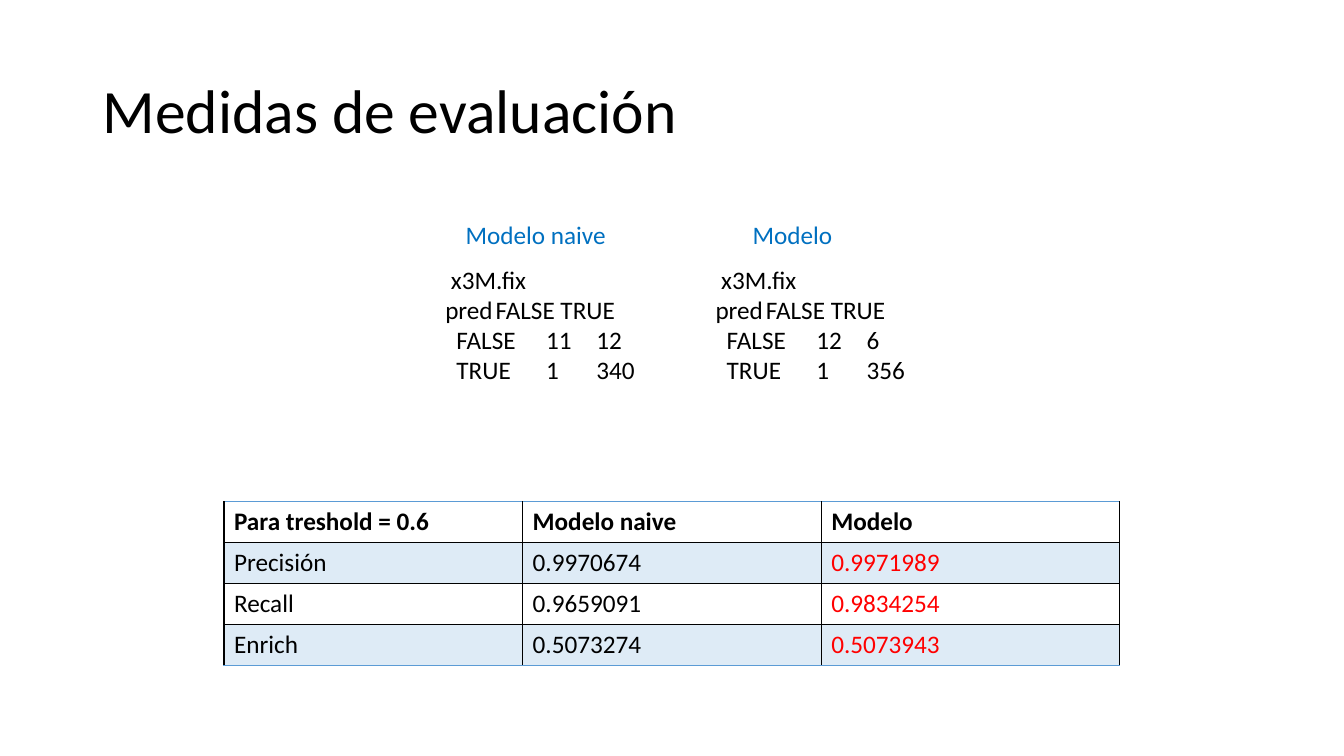
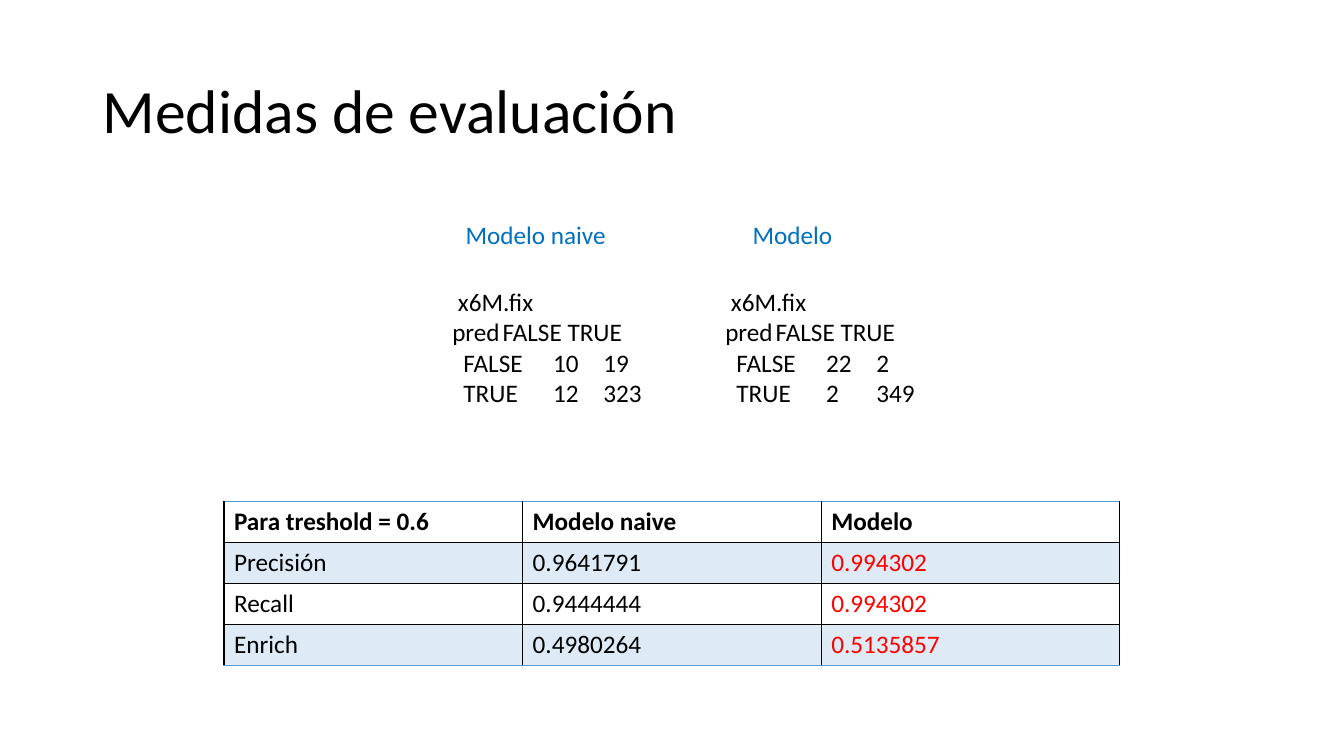
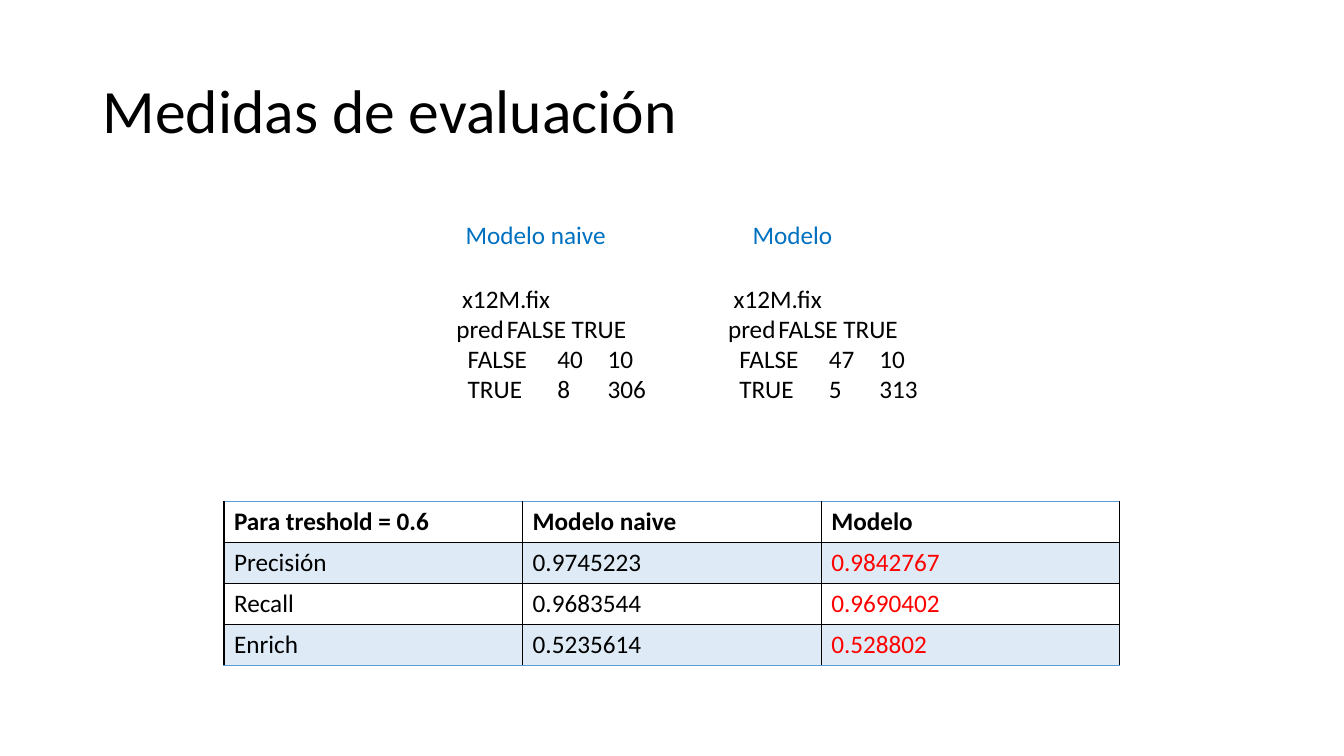
from lxml import etree
from pptx import Presentation
from pptx.dml.color import RGBColor
from pptx.enum.text import MSO_ANCHOR, MSO_AUTO_SIZE, PP_ALIGN
from pptx.oxml.ns import qn
from pptx.util import Pt

LEFT = PP_ALIGN.LEFT
MIDDLE = MSO_ANCHOR.MIDDLE
NO_FIT = MSO_AUTO_SIZE.NONE
GROW = MSO_AUTO_SIZE.SHAPE_TO_FIT_TEXT

# Shared style
FONT = "Calibri"
BLACK, BLUE, RED, ACCENT = "000000", "0070C0", "FF0000", "5B9BD5"
BODY_SIZE, TITLE_SIZE = 18, 44
BAND_ALPHA = 20

# Shared content
TITLE = "Medidas de evaluación"
MODELS = ("Modelo naive", "Modelo")
THRESHOLD = "Para treshold = 0.6"
MEASURES = ("Precisión", "Recall", "Enrich")

# Matrix layout in points: first-line indents, header tab, right edges of counts
NAME_INDENT, ROW_INDENT = 4, 8
HEADER_TAB = 50
COUNT_EDGES = (84, 116)
DIGIT_WIDTH = 9

# Each matrix: left, width, FALSE counts, TRUE counts
SLIDES = [
    dict(variable="x3M.fix", top=185,
         matrices=[(311, 158, (11, 12), (1, 340)),
                   (504, 151, (12, 6), (1, 356))],
         scores=[("0.9970674", "0.9971989"),
                 ("0.9659091", "0.9834254"),
                 ("0.5073274", "0.5073943")]),
    dict(variable="x6M.fix", top=201,
         matrices=[(316, 153, (10, 19), (12, 323)),
                   (511, 155, (22, 2), (2, 349))],
         scores=[("0.9641791", "0.994302"),
                 ("0.9444444", "0.994302"),
                 ("0.4980264", "0.5135857")]),
    dict(variable="x12M.fix", top=198.5,
         matrices=[(319, 153, (40, 10), (8, 306)),
                   (513, 160, (47, 10), (5, 313))],
         scores=[("0.9745223", "0.9842767"),
                 ("0.9683544", "0.9690402"),
                 ("0.5235614", "0.528802")]),
]


def rgb(color):
    return RGBColor.from_string(color)


def format_text(tf, size=BODY_SIZE, color=BLACK, bold=False):
    for p in tf.paragraphs:
        for r in p.runs:
            r.font.name = FONT
            r.font.size = Pt(size)
            r.font.bold = bold
            r.font.color.rgb = rgb(color)


def add_title(s, text):
    sp = s.shapes.title
    sp.left, sp.top, sp.width, sp.height = Pt(66), Pt(28.8), Pt(828), Pt(104.4)
    tf = sp.text_frame
    tf.text = text
    tf.vertical_anchor = MIDDLE
    tf.auto_size = NO_FIT
    p = tf.paragraphs[0]
    p.alignment = LEFT
    p.line_spacing = 0.9
    format_text(tf, TITLE_SIZE)


def add_text(s, left, top, width, height, text, color=BLACK):
    sp = s.shapes.add_textbox(Pt(left), Pt(top), Pt(width), Pt(height))
    tf = sp.text_frame
    tf.word_wrap = True
    tf.auto_size = GROW
    tf.text = text
    format_text(tf, color=color)
    return tf


def add_model_names(s):
    for name, left, width in zip(MODELS, (325.5, 530.5), (171.5, 76)):
        add_text(s, left, 152.8, width, 29.1, name, BLUE)


def set_tabs(p, indent, tabs):
    pPr = p._p.get_or_add_pPr()
    pPr.set("indent", str(int(Pt(indent))))
    if tabs:
        tab_list = etree.SubElement(pPr, qn("a:tabLst"))
        for position in tabs:
            etree.SubElement(tab_list, qn("a:tab"),
                             pos=str(int(Pt(position))), algn="l")


def count_line(label, counts):
    texts = [str(count) for count in counts]
    tabs = [edge - DIGIT_WIDTH * len(text)
            for edge, text in zip(COUNT_EDGES, texts)]
    return "\t".join([label, *texts]), ROW_INDENT, tabs


def add_matrix(s, left, top, width, variable, false_counts, true_counts):
    lines = [
        (variable, NAME_INDENT, []),
        ("pred\tFALSE TRUE", 0, [HEADER_TAB]),
        count_line("FALSE", false_counts),
        count_line("TRUE", true_counts),
    ]
    text = "\n".join(line for line, _, _ in lines)
    tf = add_text(s, left, top, width, 94.3, text)
    for p, (_, indent, tabs) in zip(tf.paragraphs, lines):
        set_tabs(p, indent, tabs)


def set_border(cell, side):
    ln = etree.SubElement(cell._tc.get_or_add_tcPr(), qn("a:" + side),
                          w=str(int(Pt(1))))
    fill = etree.SubElement(ln, qn("a:solidFill"))
    etree.SubElement(fill, qn("a:srgbClr"), val=ACCENT)


def set_band(cell):
    cell.fill.solid()
    cell.fill.fore_color.rgb = rgb(ACCENT)
    color = cell._tc.tcPr.find(qn("a:solidFill")).find(qn("a:srgbClr"))
    etree.SubElement(color, qn("a:alpha"), val=str(BAND_ALPHA * 1000))


def add_scores(s, scores):
    rows = [(THRESHOLD, *MODELS)]
    rows += [(measure, *pair) for measure, pair in zip(MEASURES, scores)]
    frame = s.shapes.add_table(len(rows), len(rows[0]), Pt(160), Pt(358.5),
                               Pt(640), Pt(116.8))
    table = frame.table
    table.first_row = False
    table.horz_banding = False
    tblPr = table._tbl.tblPr
    tblPr.remove(tblPr.find(qn("a:tableStyleId")))
    last_row, last_col = len(rows) - 1, len(rows[0]) - 1
    for i, row in enumerate(rows):
        for j, text in enumerate(row):
            cell = table.cell(i, j)
            cell.text = text
            is_header = i == 0
            color = RED if j == last_col and not is_header else BLACK
            format_text(cell.text_frame, color=color, bold=is_header)
            if is_header:
                set_border(cell, "lnT")
            if i in (0, last_row):
                set_border(cell, "lnB")
            if i % 2:
                set_band(cell)
            else:
                cell.fill.background()


def main():
    prs = Presentation()
    prs.slide_width, prs.slide_height = Pt(960), Pt(540)
    title_only = prs.slide_layouts[5]
    for data in SLIDES:
        s = prs.slides.add_slide(title_only)
        add_title(s, TITLE)
        add_model_names(s)
        add_scores(s, data["scores"])
        for left, width, false_counts, true_counts in data["matrices"]:
            add_matrix(s, left, data["top"], width, data["variable"],
                       false_counts, true_counts)
    prs.save("out.pptx")


main()
